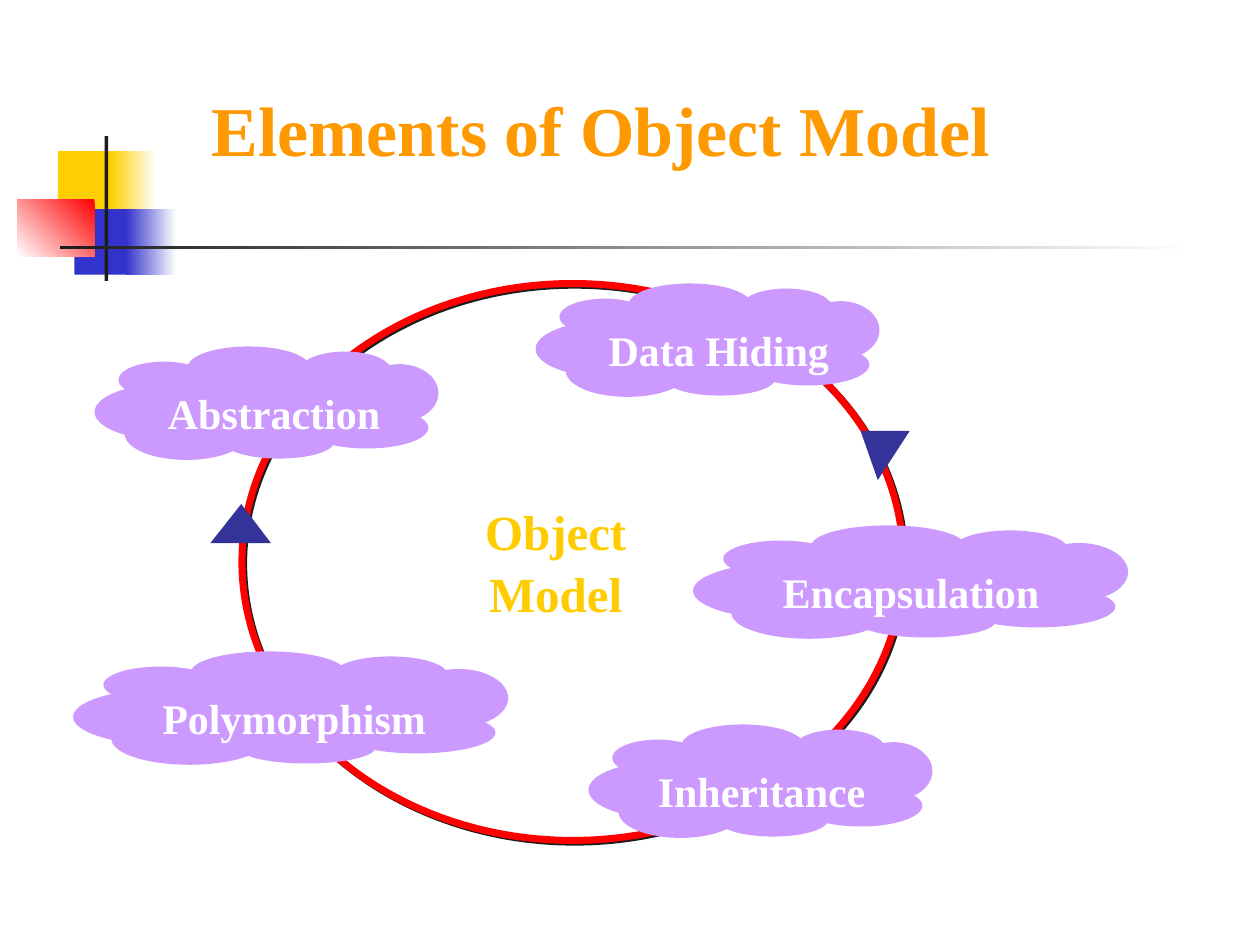
"""Build the "Elements of Object Model" slide with a ring of five clouds."""
from lxml import etree
from pptx import Presentation
from pptx.dml.color import RGBColor
from pptx.enum.shapes import MSO_SHAPE
from pptx.enum.text import MSO_ANCHOR, PP_ALIGN
from pptx.oxml.ns import qn
from pptx.util import Inches, Pt

RECTANGLE, OVAL, TRIANGLE = MSO_SHAPE.RECTANGLE, MSO_SHAPE.OVAL, MSO_SHAPE.ISOSCELES_TRIANGLE
TOP, MIDDLE = MSO_ANCHOR.TOP, MSO_ANCHOR.MIDDLE
CENTER = PP_ALIGN.CENTER
FONT = "Times New Roman"
LILAC, NAVY = "CC99FF", "333399"

ORNAMENT = [
    ((0.46, 1.2, 0.48, 0.52), ["FFCF01"], 0),
    ((0.88, 1.2, 0.36, 0.52), ["FFFFFF", "FFCF01"], 180),
    ((0.59, 1.66, 0.46, 0.52), ["3333CC"], 0),
    ((1, 1.66, 0.4, 0.52), ["FFFFFF", "3333CC"], 180),
    ((0.14, 1.58, 0.61, 0.46), ["FF0000", "FFFFFF"], 225),
    ((0.83, 1.08, 0.03, 1.15), ["1C1C1C"], 0),
    ((0.48, 1.95, 9, 0.03), ["FFFFFF", "1C1C1C"], 180),
]
RING = (1.92, 2.25, 5.25, 4.42)
ARROWS = [((6.83, 3.42, 0.39, 0.39), 180, 0.65), ((1.67, 4, 0.48, 0.31), 0, 0.51)]
PUFFS = [
    (0.19, 0.12, 0.72, 0.29), (0.74, 0, 0.97, 0.33), (2.11, 0.14, 0.62, 0.46),
    (1.63, 0.04, 0.72, 0.29), (0, 0.29, 1.25, 0.46), (1.67, 0.48, 0.98, 0.33),
    (0.24, 0.49, 0.98, 0.41), (1.03, 0.63, 0.87, 0.26), (0.19, 0.11, 2.4, 0.68),
    (2.09, 0.16, 0.37, 0.15), (0.98, 0.66, 0.37, 0.15), (0.19, 0.41, 0.62, 0.35),
    (0.25, 0.25, 0.36, 0.16),
]
WIDE = 1.265
LABEL_DROP, LABEL_HEIGHT = 0.27, 0.49
CLOUDS = [
    ("Abstraction", 0.75, 2.75, 1, 1.24, 1.87),
    ("Inheritance", 4.67, 5.75, 1, 5.13, 1.83),
    ("Data Hiding", 4.25, 2.25, 1, 4.74, 1.93),
    ("Encapsulation", 5.5, 4.17, WIDE, 6.12, 2.22),
    ("Polymorphism", 0.58, 5.17, WIDE, 1.2, 2.27),
]


def color(value):
    return RGBColor.from_string(value)


def add_block(shapes, kind, box, fill):
    shape = shapes.add_shape(kind, *map(Inches, box))
    shape.shadow.inherit = False
    shape.line.fill.background()
    shape.fill.solid()
    shape.fill.fore_color.rgb = color(fill)
    return shape


def write(shape, text, size, fill, anchor, side=0.1, top=0.05, spacing=1):
    frame = shape.text_frame
    frame.text = text
    frame.word_wrap = False
    frame.vertical_anchor = anchor
    frame.margin_left = frame.margin_right = Inches(side)
    frame.margin_top, frame.margin_bottom = Inches(top), Inches(0.05)
    paragraph = frame.paragraphs[0]
    paragraph.alignment = CENTER
    paragraph.line_spacing = spacing
    for run in paragraph.runs:
        run.font.name, run.font.size, run.font.bold = FONT, Pt(size), True
        run.font.color.rgb = color(fill)


def add_ornament(slide):
    for box, fills, angle in ORNAMENT:
        shape = add_block(slide.shapes, RECTANGLE, box, fills[0])
        if len(fills) == 2:
            shape.fill.gradient()
            shape.fill.gradient_angle = angle
            for stop, fill in zip(shape.fill.gradient_stops, fills):
                stop.color.rgb = color(fill)


def add_ring(slide):
    ring = add_block(slide.shapes, OVAL, RING, "FFFFFF")
    ring.fill.background()
    ring.line.color.rgb = color("FF0000")
    ring.line.width = Pt(4)
    effects = ring._element.spPr.find(qn("a:effectLst"))
    shadow = etree.SubElement(effects, qn("a:outerShdw"), dist=str(Pt(1.4)),
                              dir="2700000", algn="ctr", rotWithShape="0")
    etree.SubElement(shadow, qn("a:srgbClr"), val="1C1C1C")


def add_cloud(slide, label, left, top, stretch, label_left, label_width):
    cloud = slide.shapes.add_group_shape()
    for x, y, width, height in PUFFS:
        box = (left + x * stretch, top + y, width * stretch, height)
        add_block(cloud.shapes, OVAL, box, LILAC)
    box = (label_left, top + LABEL_DROP, label_width, LABEL_HEIGHT)
    plate = add_block(cloud.shapes, RECTANGLE, box, LILAC)
    write(plate, label, 24, "FFFFFF", MIDDLE, side=0.09, spacing=1.05)


def main():
    presentation = Presentation()
    presentation.slide_width, presentation.slide_height = Inches(10), Inches(7.5)
    slide = presentation.slides.add_slide(presentation.slide_layouts[6])
    add_ornament(slide)
    title = slide.shapes.add_textbox(*map(Inches, (1.42, 0.58, 6.7, 1.08)))
    write(title, "Elements of Object Model", 40, "FF9900", TOP, top=0.11)
    add_ring(slide)
    for box, rotation, tip in ARROWS:
        arrow = add_block(slide.shapes, TRIANGLE, box, NAVY)
        arrow.rotation = rotation
        arrow.adjustments[0] = tip
    for cloud in CLOUDS:
        add_cloud(slide, *cloud)
    center = slide.shapes.add_textbox(*map(Inches, (3.75, 3.91, 1.32, 1.04)))
    write(center, "Object\vModel", 28, "FFCC00", TOP, spacing=1.05)
    presentation.save("out.pptx")


if __name__ == "__main__":
    main()
